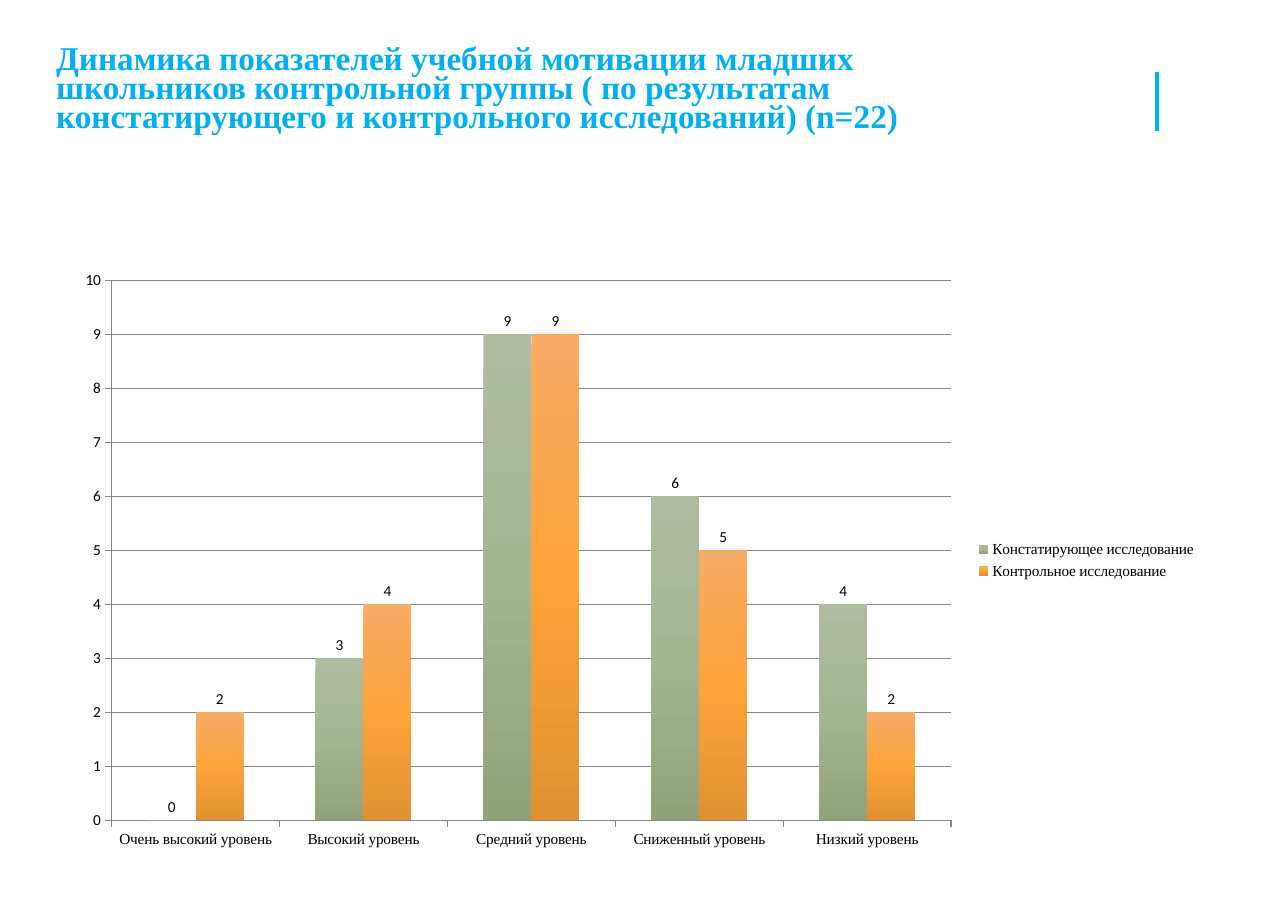
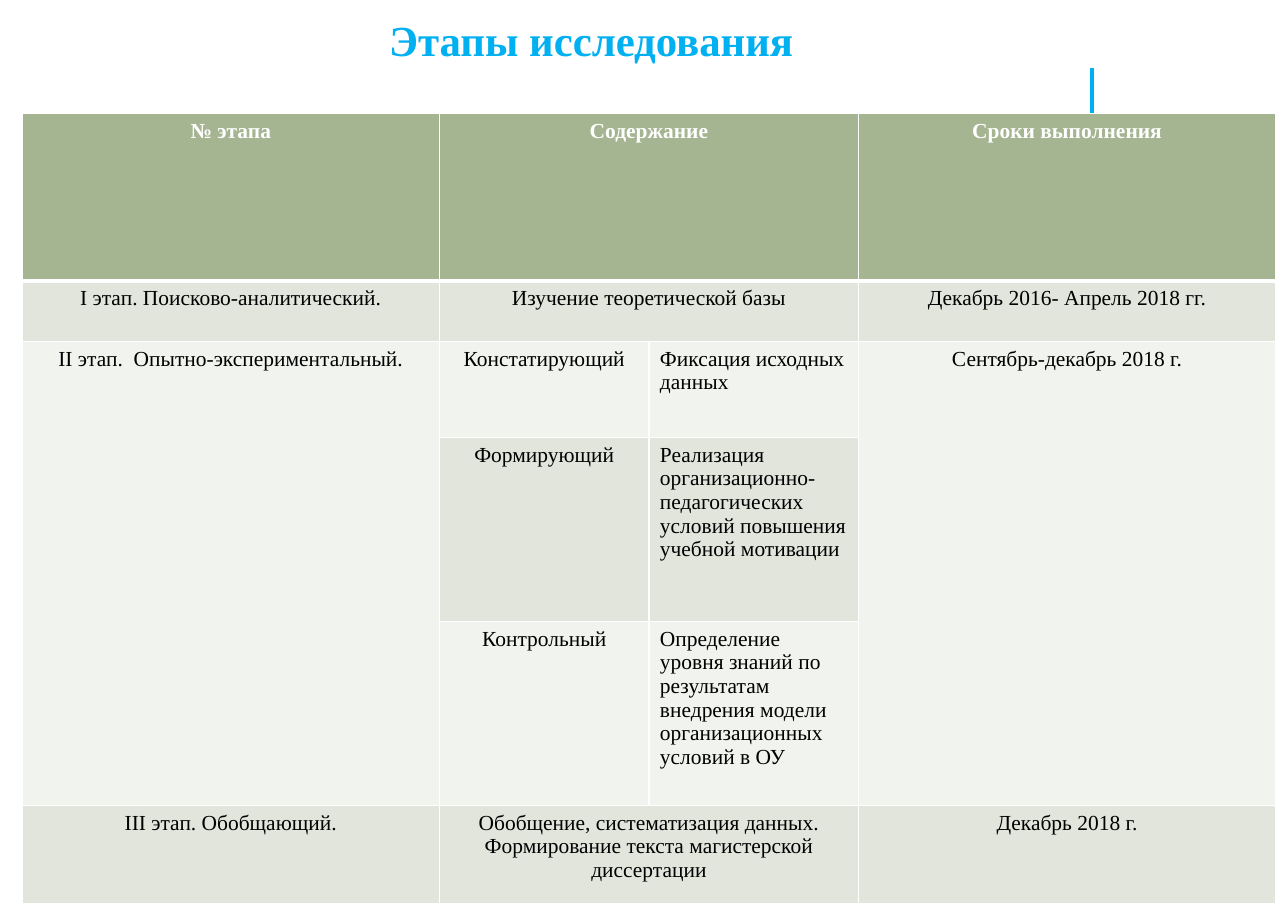
from copy import deepcopy

from lxml import etree
from pptx import Presentation
from pptx.chart.data import CategoryChartData
from pptx.dml.color import RGBColor
from pptx.enum.chart import XL_CHART_TYPE, XL_LABEL_POSITION, XL_LEGEND_POSITION, XL_TICK_MARK
from pptx.enum.shapes import MSO_CONNECTOR
from pptx.enum.text import MSO_ANCHOR, PP_ALIGN
from pptx.oxml.ns import qn
from pptx.util import Pt

CLUSTERED = XL_CHART_TYPE.COLUMN_CLUSTERED
OUTSIDE_END = XL_LABEL_POSITION.OUTSIDE_END
LEGEND_RIGHT = XL_LEGEND_POSITION.RIGHT
TICK_OUTSIDE = XL_TICK_MARK.OUTSIDE
STRAIGHT = MSO_CONNECTOR.STRAIGHT
TOP, BOTTOM = MSO_ANCHOR.TOP, MSO_ANCHOR.BOTTOM
LEFT, CENTER = PP_ALIGN.LEFT, PP_ALIGN.CENTER

SERIF, SANS = "Times New Roman", "Calibri"
ACCENT = RGBColor(0x00, 0xB0, 0xF0)
WHITE = RGBColor(0xFF, 0xFF, 0xFF)
BLACK = RGBColor(0x00, 0x00, 0x00)
AXIS_GRAY = RGBColor(0x86, 0x86, 0x86)
GREEN = RGBColor(0xA5, 0xB5, 0x92)
BAND_DARK = RGBColor(0xE1, 0xE5, 0xDC)
BAND_LIGHT = RGBColor(0xF0, 0xF3, 0xEE)
GREEN_GRADIENT = (RGBColor(0xAF, 0xBC, 0x9F), GREEN, RGBColor(0x92, 0xA2, 0x7B))
ORANGE_GRADIENT = (RGBColor(0xF6, 0xAC, 0x66), RGBColor(0xFD, 0xA4, 0x3B), RGBColor(0xE0, 0x92, 0x30))

LEVELS = ["Очень высокий уровень", "Высокий уровень", "Средний уровень", "Сниженный уровень", "Низкий уровень"]
STUDIES = [
    ("Констатирующее исследование", (0, 3, 9, 6, 4), GREEN_GRADIENT),
    ("Контрольное исследование", (2, 4, 9, 5, 2), ORANGE_GRADIENT),
]

COLUMN_WIDTHS = (272.9, 136.8, 136.8, 272.9)
ROW_HEIGHTS = (109.5, 39.6, 62.7, 120.3, 120.3, 64.1)
STAGES = [
    ("№ этапа", "Содержание", "", "Сроки выполнения"),
    ("I этап. Поисково-аналитический.", "Изучение теоретической базы", "", "Декабрь 2016- Апрель 2018 гг."),
    ("II этап.  Опытно-экспериментальный.", "Констатирующий", "Фиксация исходных данных",
     "Сентябрь-декабрь 2018 г."),
    ("", "Формирующий", "Реализация организационно-педагогических условий повышения учебной мотивации", ""),
    ("", "Контрольный",
     "Определение уровня знаний по результатам внедрения модели организационных условий в ОУ", ""),
    ("III этап. Обобщающий.",
     "Обобщение, систематизация данных. Формирование текста магистерской диссертации", "", "Декабрь 2018 г."),
]
# First and last (row, column) of each merged block
MERGES = [((0, 1), (0, 2)), ((1, 1), (1, 2)), ((5, 1), (5, 2)), ((2, 0), (4, 0)), ((2, 3), (4, 3))]


def set_font(font, name, size, color, bold=False):
    font.name, font.size, font.bold = name, Pt(size), bold
    font.color.rgb = color


def add_title(slide, text, box, size, align, anchor, line_spacing):
    shape = slide.shapes.add_textbox(*map(Pt, box))
    frame = shape.text_frame
    frame.word_wrap = True
    frame.vertical_anchor = anchor
    frame.margin_left = frame.margin_right = Pt(7.9)
    frame.margin_top = frame.margin_bottom = Pt(4.3)
    paragraph = frame.paragraphs[0]
    paragraph.text = text
    paragraph.alignment = align
    paragraph.line_spacing = line_spacing
    set_font(paragraph.font, SERIF, size, ACCENT, bold=True)


def add_accent_line(slide, x, top):
    line = slide.shapes.add_connector(STRAIGHT, Pt(x), Pt(top), Pt(x), Pt(top + 38.9))
    line.line.color.rgb = ACCENT
    line.line.width = Pt(2.25)
    etree.SubElement(line._element.spPr, qn("a:effectLst"))


def fill_series_gradient(series, colors):
    """Fill the columns with three evenly spaced colours from top to bottom."""
    fill = series.format.fill
    fill.gradient()
    fill.gradient_angle = 270
    stop_list = series._element.find(".//" + qn("a:gsLst"))
    stop_list.insert(1, deepcopy(stop_list[0]))
    for stop, position, color in zip(fill.gradient_stops, (0, 0.5, 1), colors):
        stop.position = position
        stop.color.rgb = color


def style_axis(axis, font_name):
    axis.major_tick_mark = TICK_OUTSIDE
    axis.format.line.color.rgb = AXIS_GRAY
    set_font(axis.tick_labels.font, font_name, 10, BLACK)


def add_level_chart(slide, box):
    data = CategoryChartData()
    data.categories = LEVELS
    for name, values, _ in STUDIES:
        data.add_series(name, values)
    chart = slide.shapes.add_chart(CLUSTERED, *map(Pt, box), data).chart
    chart.has_title = False
    set_font(chart.font, SANS, 10, BLACK)

    style_axis(chart.category_axis, SERIF)
    value_axis = chart.value_axis
    style_axis(value_axis, SANS)
    value_axis.minimum_scale, value_axis.maximum_scale, value_axis.major_unit = 0, 10, 1
    value_axis.major_gridlines.format.line.color.rgb = AXIS_GRAY

    chart.has_legend = True
    chart.legend.position = LEGEND_RIGHT
    chart.legend.include_in_layout = False
    set_font(chart.legend.font, SERIF, 10, BLACK)

    plot = chart.plots[0]
    plot.vary_by_categories = False
    plot.gap_width, plot.overlap = 150, 0
    plot.has_data_labels = True
    plot.data_labels.show_value = True
    plot.data_labels.position = OUTSIDE_END
    set_font(plot.data_labels.font, SANS, 10, BLACK)
    for series, (_, _, colors) in zip(plot.series, STUDIES):
        series.invert_if_negative = False
        fill_series_gradient(series, colors)


def add_borders(cell, bottom_width):
    properties = cell._tc.get_or_add_tcPr()
    for side, width in (("L", 1), ("R", 1), ("T", 1), ("B", bottom_width)):
        border = etree.SubElement(properties, qn(f"a:ln{side}"), w=str(Pt(width)))
        fill = etree.SubElement(border, qn("a:solidFill"))
        etree.SubElement(fill, qn("a:srgbClr"), val=str(WHITE))


def style_cell(cell, text, row, column):
    is_header = row == 0
    add_borders(cell, 3 if is_header else 1)
    cell.fill.solid()
    cell.fill.fore_color.rgb = GREEN if is_header else BAND_DARK if row % 2 else BAND_LIGHT
    cell.text = text
    paragraph = cell.text_frame.paragraphs[0]
    paragraph.alignment = LEFT if column == 2 else CENTER
    set_font(paragraph.font, SERIF, 14, WHITE if is_header else BLACK, bold=is_header)


def add_stage_table(slide, left, top):
    width, height = sum(COLUMN_WIDTHS), sum(ROW_HEIGHTS)
    table = slide.shapes.add_table(len(STAGES), len(COLUMN_WIDTHS), Pt(left), Pt(top), Pt(width), Pt(height)).table
    for column, column_width in zip(table.columns, COLUMN_WIDTHS):
        column.width = Pt(column_width)
    for row, row_height in zip(table.rows, ROW_HEIGHTS):
        row.height = Pt(row_height)
    for row_index, texts in enumerate(STAGES):
        for column_index, text in enumerate(texts):
            style_cell(table.cell(row_index, column_index), text, row_index, column_index)
    for first, last in MERGES:
        table.cell(*first).merge(table.cell(*last))


def main():
    presentation = Presentation()
    presentation.slide_width, presentation.slide_height = Pt(841.68), Pt(595.44)
    blank = presentation.slide_layouts[6]

    dynamics = presentation.slides.add_slide(blank)
    add_title(
        dynamics,
        "Динамика показателей учебной мотивации младших школьников контрольной группы "
        "( по результатам констатирующего и контрольного исследований) (n=22)",
        (28.8, 26.6, 601.9, 83.5), 21.7, LEFT, TOP, 0.73)
    add_level_chart(dynamics, (41, 169.9, 748.1, 392.4))
    add_accent_line(dynamics, 756, 46.8)

    stages = presentation.slides.add_slide(blank)
    add_accent_line(stages, 713.5, 44.6)
    add_title(stages, "Этапы исследования", (81.4, 7.2, 609.8, 40.3), 28, CENTER, BOTTOM, 0.9)
    add_stage_table(stages, 14.4, 74.2)

    presentation.save("out.pptx")


if __name__ == "__main__":
    main()
